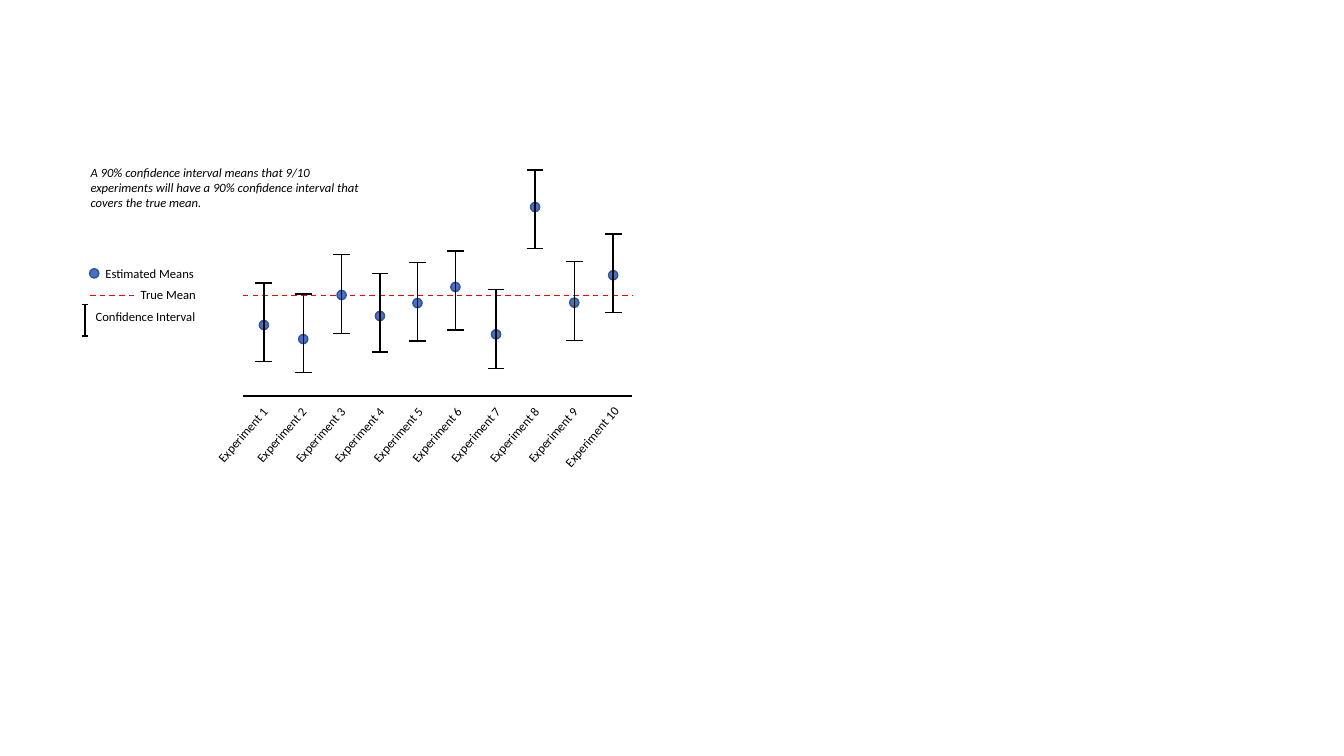
from pptx import Presentation
from pptx import util as u
from pptx.dml.color import RGBColor
from pptx.enum import dml, shapes, text
from pptx.oxml.ns import qn
from lxml import etree

Pt = u.Pt
BLACK = RGBColor(0x00, 0x00, 0x00)
RED = RGBColor(0xFF, 0x00, 0x00)
BLUE = RGBColor(0x44, 0x72, 0xC4)
DARK_BLUE = RGBColor(0x32, 0x54, 0x91)

TRUE_MEAN_Y = 211
AXIS_Y = 283
AXIS_LEFT, AXIS_RIGHT = 173.5, 451.5
DOT = 6.6
CI_HEIGHT, CI_CAP = 56.2, 12
LABEL_PITCH = 27.7

# centre x, estimated mean y, top of the confidence interval
EXPERIMENTS = [
    (188.5, 232.2, 202.2),
    (216.6, 242.2, 210),
    (244, 210.7, 182),
    (271.4, 225.7, 195.2),
    (298.2, 216.5, 187.4),
    (325.3, 205, 179.4),
    (354.3, 238.8, 207),
    (382.2, 147.9, 121.5),
    (410.2, 216.2, 187),
    (438, 196.6, 167.2),
]


def add_line(s, x1, y1, x2, y2, color=BLACK, dashed=False):
    ln = s.shapes.add_connector(
        shapes.MSO_CONNECTOR.STRAIGHT, Pt(x1), Pt(y1), Pt(x2), Pt(y2))
    ln.line.color.rgb = color
    ln.line.width = Pt(1)
    if dashed:
        ln.line.dash_style = dml.MSO_LINE.DASH
    etree.SubElement(ln._element.spPr, qn("a:effectLst"))


def add_interval(s, x, top, height, cap):
    """Draw a vertical bar with a cap at each end, centred on x."""
    add_line(s, x, top, x, top + height)
    for y in (top, top + height):
        add_line(s, x - cap / 2, y, x + cap / 2, y)


def add_dot(s, x, y):
    """Draw an estimated mean centred on (x, y)."""
    sp = s.shapes.add_shape(
        shapes.MSO_SHAPE.OVAL, Pt(x - DOT / 2), Pt(y - DOT / 2), Pt(DOT), Pt(DOT))
    sp.shadow.inherit = False
    sp.fill.solid()
    sp.fill.fore_color.rgb = BLUE
    sp.line.color.rgb = DARK_BLUE
    sp.line.width = Pt(1)


def add_text(s, words, x, y, w, h=18.2, rotation=0, italic=False, wrap=False):
    sp = s.shapes.add_textbox(Pt(x), Pt(y), Pt(w), Pt(h))
    sp.rotation = rotation
    tf = sp.text_frame
    tf.word_wrap = wrap
    tf.auto_size = text.MSO_AUTO_SIZE.SHAPE_TO_FIT_TEXT
    r = tf.paragraphs[0].add_run()
    r.text = words
    r.font.name = "Calibri"
    r.font.size = Pt(9)
    r.font.italic = italic
    r.font.color.rgb = BLACK


def add_legend(s):
    add_dot(s, 67.3, 195.3)
    add_text(s, "Estimated Means", 68.2, 186.4, 78.6)
    add_line(s, 64.3, TRUE_MEAN_Y, 97.6, TRUE_MEAN_Y, RED, dashed=True)
    add_text(s, "True Mean", 93.4, 201.2, 54.6)
    add_interval(s, 60.6, 217.6, 22.4, 4.6)
    add_text(s, "Confidence Interval", 61.2, 217, 86.6)


def add_experiments(s):
    for i, (x, mean_y, ci_top) in enumerate(EXPERIMENTS):
        add_dot(s, x, mean_y)
        add_interval(s, x, ci_top, CI_HEIGHT, CI_CAP)
        number = i + 1
        w, y = (64, 301) if number < 10 else (68.6, 302.4)
        center = 173.8 + i * LABEL_PITCH
        add_text(s, f"Experiment {number}", center - w / 2, y, w, rotation=310.8)


def main():
    prs = Presentation()
    prs.slide_width, prs.slide_height = Pt(960), Pt(540)
    s = prs.slides.add_slide(prs.slide_layouts[6])
    add_line(s, AXIS_LEFT, AXIS_Y, AXIS_RIGHT, AXIS_Y)
    add_line(s, AXIS_LEFT, TRUE_MEAN_Y, AXIS_RIGHT, TRUE_MEAN_Y, RED, dashed=True)
    add_legend(s)
    add_experiments(s)
    add_text(s, "A 90% confidence interval means that 9/10 experiments will have "
             "a 90% confidence interval that covers the true mean.",
             57.6, 114.2, 206.6, 40.4, italic=True, wrap=True)
    prs.save("out.pptx")


if __name__ == "__main__":
    main()
